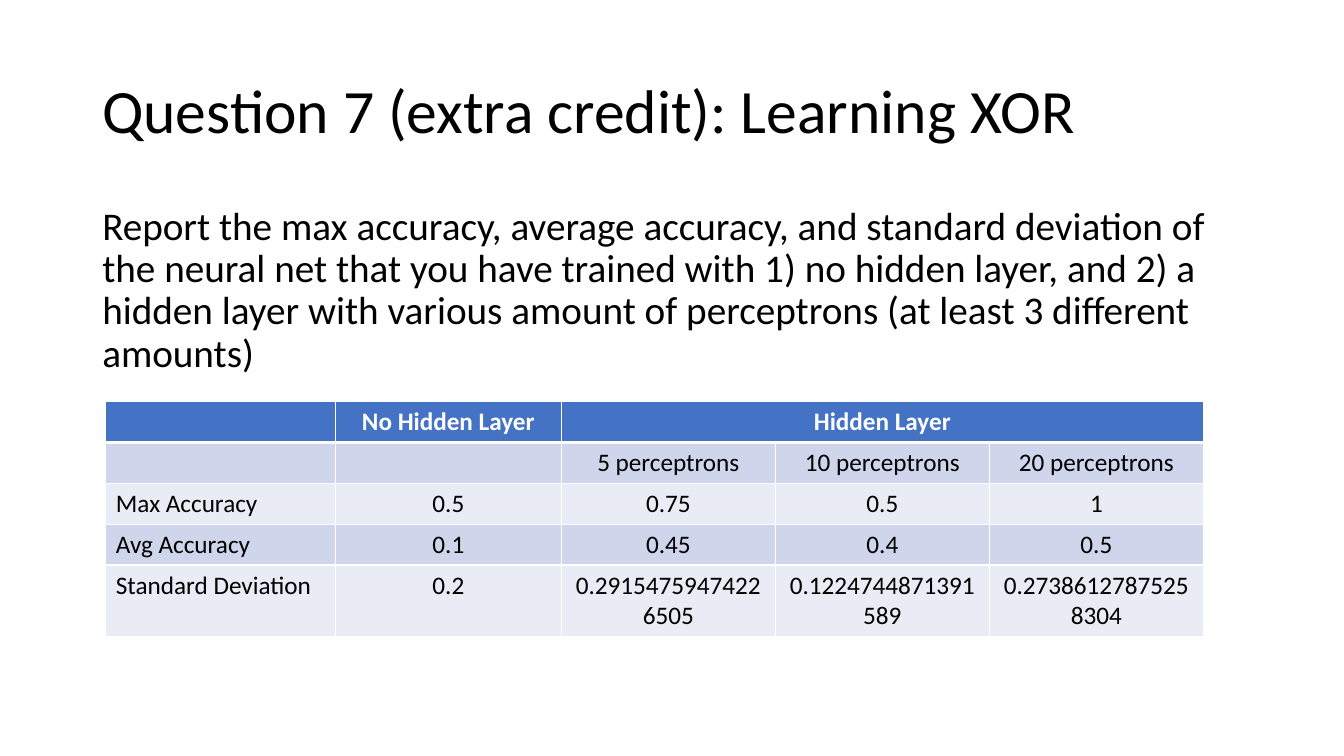
from lxml.etree import SubElement
from pptx import Presentation
from pptx.dml.color import RGBColor
from pptx.enum.text import MSO_ANCHOR, PP_ALIGN
from pptx.oxml.ns import qn
from pptx.util import Pt

COLORS = {
    "text": "000000",
    "white": "FFFFFF",
    "header": "4472C4",
    "dark band": "CFD5EA",
    "light band": "E9EBF5",
}


class SlideBuilder:
    """Hold the style and the current slide, and add its elements."""

    font = "Calibri"

    def __init__(self, slide):
        self.slide = slide

    def color(self, name):
        return RGBColor.from_string(COLORS[name])

    def add_run(self, paragraph, text, size, color="text", bold=False):
        run = paragraph.add_run()
        run.text = text
        run.font.name = self.font
        run.font.size = Pt(size)
        run.font.bold = bold
        run.font.color.rgb = self.color(color)

    def add_text(self, text, left, top, width, height, size,
                 anchor=MSO_ANCHOR.TOP, space_before=0):
        shape = self.slide.shapes.add_textbox(Pt(left), Pt(top), Pt(width), Pt(height))
        frame = shape.text_frame
        frame.word_wrap = True
        frame.vertical_anchor = anchor
        paragraph = frame.paragraphs[0]
        paragraph.line_spacing = 0.9
        paragraph.space_before = Pt(space_before)
        self.add_run(paragraph, text, size)

    def add_borders(self, cell, bottom_width):
        properties = cell._tc.get_or_add_tcPr()
        widths = {"a:lnL": 1, "a:lnR": 1, "a:lnT": 1, "a:lnB": bottom_width}
        for position, (tag, width) in enumerate(widths.items()):
            line = SubElement(properties, qn(tag), w=str(Pt(width)))
            fill = SubElement(line, qn("a:solidFill"))
            SubElement(fill, qn("a:srgbClr"), val=COLORS["white"])
            properties.insert(position, line)

    def add_table(self, rows, left, top, column_widths, row_heights, size):
        table = self.slide.shapes.add_table(
            len(rows), len(column_widths), Pt(left), Pt(top),
            Pt(sum(column_widths)), Pt(sum(row_heights))).table
        for column, width in zip(table.columns, column_widths):
            column.width = Pt(width)
        for row, height in zip(table.rows, row_heights):
            row.height = Pt(height)
        for row_index, row in enumerate(rows):
            is_header = row_index == 0
            band = "dark band" if row_index % 2 else "light band"
            for column_index, text in enumerate(row):
                cell = table.cell(row_index, column_index)
                cell.fill.solid()
                cell.fill.fore_color.rgb = self.color("header" if is_header else band)
                self.add_borders(cell, 3 if is_header or False else 1)
                if row_index == 1:
                    top_line = cell._tc.tcPr.find(qn("a:lnT"))
                    top_line.set("w", str(Pt(3)))
                if text:
                    paragraph = cell.text_frame.paragraphs[0]
                    paragraph.alignment = PP_ALIGN.CENTER if column_index else PP_ALIGN.LEFT
                    self.add_run(paragraph, text, size,
                                 "white" if is_header else "text", is_header)
        return table


presentation = Presentation()
presentation.slide_width = Pt(960)
presentation.slide_height = Pt(540)
builder = SlideBuilder(presentation.slides.add_slide(presentation.slide_layouts[6]))

builder.add_text("Question 7 (extra credit): Learning XOR",
                 66, 28.75, 828, 104.4, 44, anchor=MSO_ANCHOR.MIDDLE)
builder.add_text(
    "Report the max accuracy, average accuracy, and standard deviation of the neural net "
    "that you have trained with 1) no hidden layer, and 2) a hidden layer with various "
    "amount of perceptrons (at least 3 different amounts)",
    66, 143.75, 828, 342.6, 28, space_before=10)

accuracy_rows = [
    ["", "No Hidden Layer", "Hidden Layer", "", ""],
    ["", "", "5 perceptrons", "10 perceptrons", "20 perceptrons"],
    ["Max Accuracy", "0.5", "0.75", "0.5", "1"],
    ["Avg Accuracy", "0.1", "0.45", "0.4", "0.5"],
    ["Standard Deviation", "0.2", "0.29154759474226505", "0.1224744871391589",
     "0.27386127875258304"],
]
accuracy_table = builder.add_table(
    accuracy_rows, 75.6, 286.8, [164, 161.4] + [152.9] * 3, [29.2] * 4 + [50.8], 18)
accuracy_table.cell(0, 2).merge(accuracy_table.cell(0, 4))

presentation.save("out.pptx")
